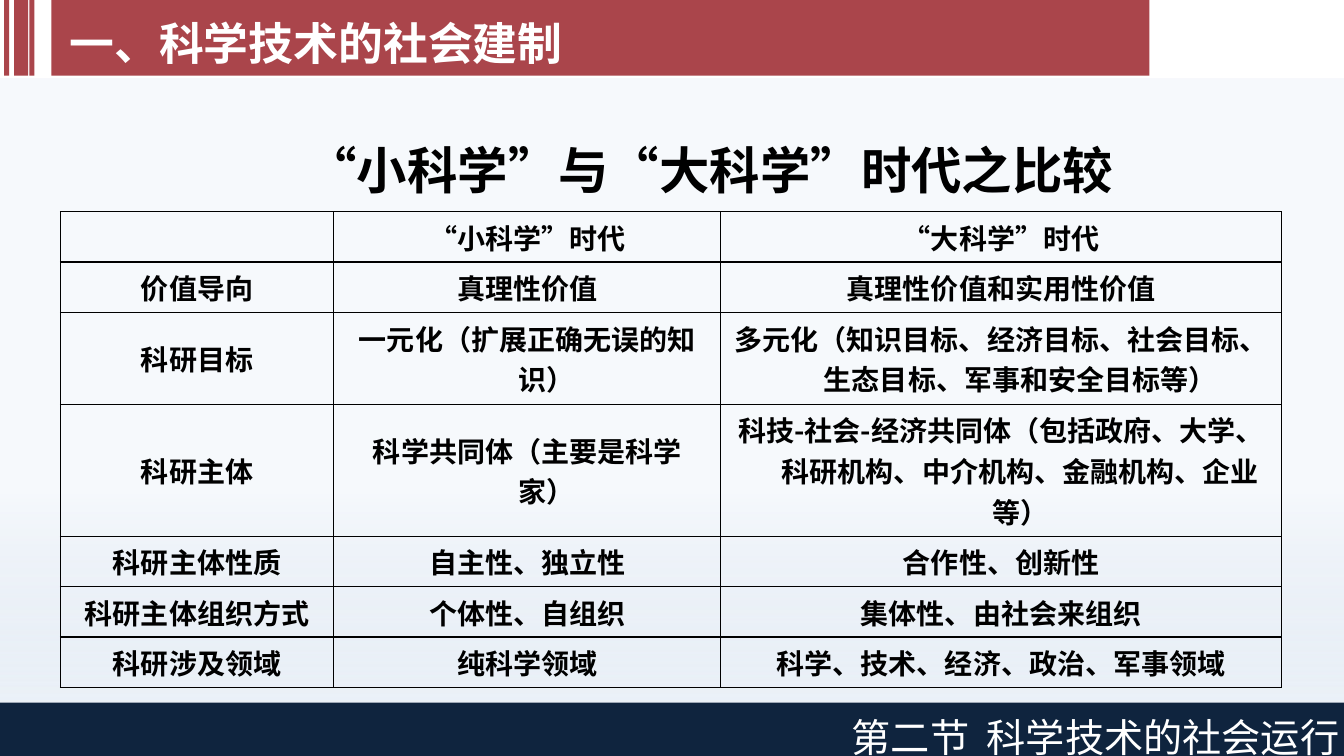
from lxml import etree
from pptx import Presentation
from pptx.dml.color import RGBColor
from pptx.enum import shapes, text
from pptx.oxml import ns
from pptx.util import Inches, Pt

COLORS = {"red": "AA454B", "navy": "0F243E", "white": "FFFFFF", "black": "000000",
          "sky": "F6F9FC", "mist": "CAD9EB"}
FONT = "Noto Sans CJK SC"

STRIPES = [(0.04, 0.05), (0.14, 0.14), (0.29, 0.05), (0.51, 10.89)]
COLUMN_WIDTHS = [2.71, 3.84, 5.56]
ROW_HEIGHTS = [0.5, 0.5, 0.91, 1.31, 0.5, 0.5, 0.5]
COMPARISON = [
    ("", "“小科学”时代", "“大科学”时代"),
    ("价值导向", "真理性价值", "真理性价值和实用性价值"),
    ("科研目标", "一元化（扩展正确无误的知识）",
     "多元化（知识目标、经济目标、社会目标、生态目标、军事和安全目标等）"),
    ("科研主体", "科学共同体（主要是科学家）",
     "科技-社会-经济共同体（包括政府、大学、科研机构、中介机构、金融机构、企业等）"),
    ("科研主体性质", "自主性、独立性", "合作性、创新性"),
    ("科研主体组织方式", "个体性、自组织", "集体性、由社会来组织"),
    ("科研涉及领域", "纯科学领域", "科学、技术、经济、政治、军事领域"),
]


def add_child(parent, tag, **attributes):
    child = etree.SubElement(parent, ns.qn(tag))
    for name, value in attributes.items():
        child.set(name, str(value))
    return child


def write_text(frame, content, size, color="black", bold=True, font=FONT,
               align=text.PP_ALIGN.CENTER, spacing=None, indent=None):
    """Fill a text frame; indent is (left margin, first line) in inches."""
    frame.word_wrap = True
    paragraph = frame.paragraphs[0]
    paragraph.alignment = align
    if spacing:
        paragraph.line_spacing = spacing
    if indent:
        properties = paragraph._p.get_or_add_pPr()
        properties.set("marL", str(Inches(indent[0])))
        properties.set("indent", str(Inches(indent[1])))
    run = paragraph.add_run()
    run.text = content
    run.font.size = Pt(size)
    run.font.bold = bold
    run.font.name = font
    run.font.color.rgb = RGBColor.from_string(COLORS[color])
    add_child(run._r.get_or_add_rPr(), "a:ea", typeface=FONT)


def add_text(slide, content, left, top, width, height, anchor, **text_format):
    box = slide.shapes.add_textbox(Inches(left), Inches(top), Inches(width), Inches(height))
    box.text_frame.vertical_anchor = anchor
    write_text(box.text_frame, content, **text_format)


def add_bar(slide, left, top, width, height, color):
    bar = slide.shapes.add_shape(shapes.MSO_SHAPE.RECTANGLE, Inches(left), Inches(top),
                                 Inches(width), Inches(height))
    bar.shadow.inherit = False
    bar.line.fill.background()
    bar.fill.solid()
    bar.fill.fore_color.rgb = RGBColor.from_string(COLORS[color])
    return bar


def add_backdrop(slide):
    """Add the body panel, fading downwards to a translucent blue."""
    panel = add_bar(slide, -0.04, 0.78, 13.41, 6.72, "sky")
    solid = panel._element.spPr.find(ns.qn("a:solidFill"))
    gradient = etree.Element(ns.qn("a:gradFill"), rotWithShape="1")
    stops = add_child(gradient, "a:gsLst")
    for position, color, opacity in [(61, "sky", 100), (100, "mist", 30)]:
        stop = add_child(stops, "a:gs", pos=position * 1000)
        tint = add_child(stop, "a:srgbClr", val=COLORS[color])
        if opacity < 100:
            add_child(tint, "a:alpha", val=opacity * 1000)
    add_child(gradient, "a:lin", ang=90 * 60000, scaled=0)
    solid.getparent().replace(solid, gradient)


def add_borders(cell):
    properties = cell._tc.get_or_add_tcPr()
    for index, side in enumerate(("a:lnL", "a:lnR", "a:lnT", "a:lnB")):
        line = etree.Element(ns.qn(side), w=str(Pt(1)))
        add_child(add_child(line, "a:solidFill"), "a:srgbClr", val=COLORS["black"])
        properties.insert(index, line)


def add_comparison_table(slide):
    frame = slide.shapes.add_table(len(ROW_HEIGHTS), len(COLUMN_WIDTHS), Inches(0.6), Inches(2.1),
                                   Inches(sum(COLUMN_WIDTHS)), Inches(sum(ROW_HEIGHTS)))
    table = frame.table
    table.first_row = table.horz_banding = False
    for column, width in zip(table.columns, COLUMN_WIDTHS):
        column.width = Inches(width)
    for row, height, contents in zip(table.rows, ROW_HEIGHTS, COMPARISON):
        row.height = Inches(height)
        for cell, content in zip(row.cells, contents):
            cell.fill.background()
            cell.vertical_anchor = text.MSO_ANCHOR.MIDDLE
            cell.margin_left = cell.margin_right = Inches(0.13)
            cell.margin_top = cell.margin_bottom = Inches(0.05)
            add_borders(cell)
            if content:
                write_text(cell.text_frame, content, size=20, indent=(0.38, -0.38))


def main():
    presentation = Presentation()
    presentation.slide_width = Inches(13.33)
    presentation.slide_height = Inches(7.5)
    slide = presentation.slides.add_slide(presentation.slide_layouts[6])
    for left, width in STRIPES:
        add_bar(slide, left, 0, width, 0.75, "red")
    add_backdrop(slide)
    add_bar(slide, -0.03, 6.97, 13.41, 0.59, "navy")
    middle = text.MSO_ANCHOR.MIDDLE
    add_text(slide, "第二节  科学技术的社会运行", 2.57, 6.9, 10.81, 0.73, middle, size=28,
             color="white", bold=False, align=text.PP_ALIGN.RIGHT, spacing=1.2)
    add_text(slide, "一、科学技术的社会建制", 0.59, 0, 10.81, 0.73, middle, size=32,
             color="white", align=text.PP_ALIGN.LEFT, spacing=1.2)
    add_text(slide, "“小科学”与“大科学”时代之比较", 0.84, 1.15, 12, 0.79, text.MSO_ANCHOR.TOP,
             size=36, font="Calibri", spacing=1.3, indent=(0.38, 0.02))
    add_comparison_table(slide)
    presentation.save("out.pptx")


if __name__ == "__main__":
    main()
